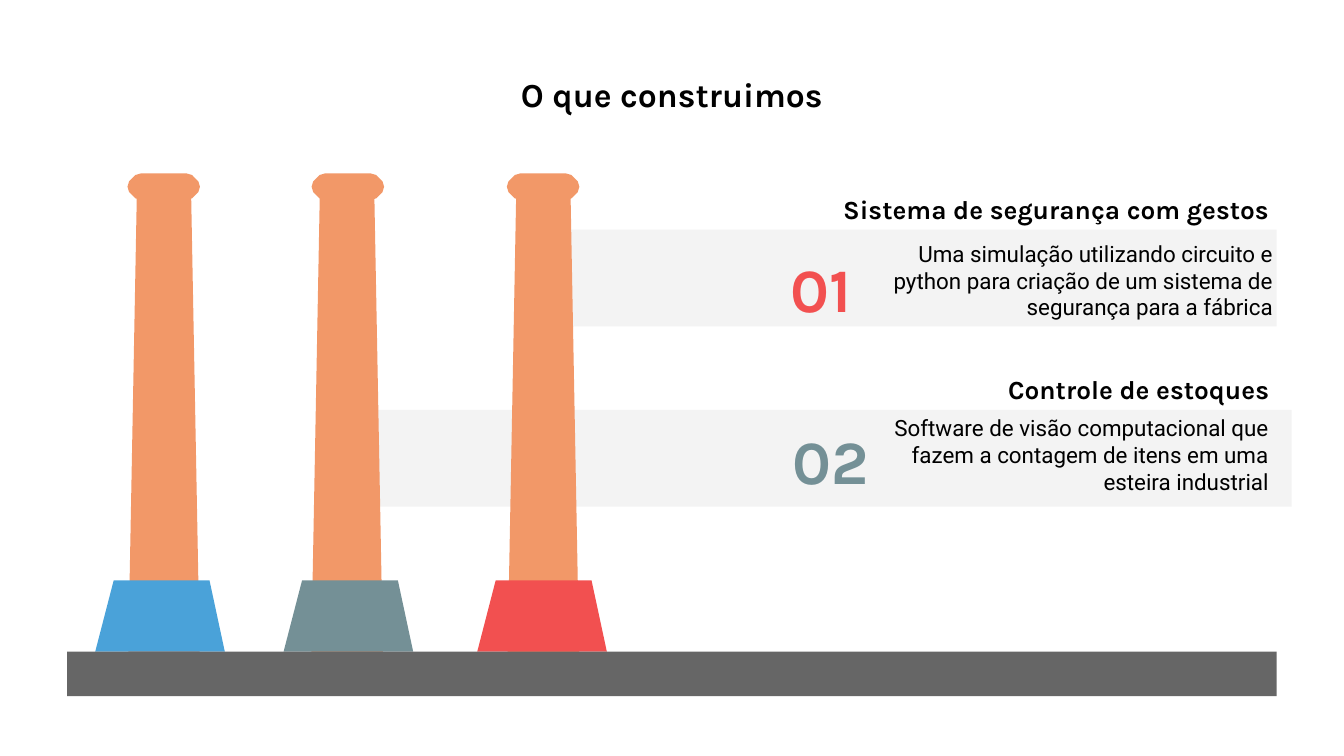
from pptx import Presentation
from pptx.dml.color import RGBColor
from pptx.enum.shapes import MSO_SHAPE
from pptx.enum.text import MSO_ANCHOR, PP_ALIGN
from pptx.util import Cm, Pt

BLACK = RGBColor(0x00, 0x00, 0x00)
LIGHT = RGBColor(0xF3, 0xF3, 0xF3)
GROUND = RGBColor(0x66, 0x66, 0x66)
BRICK = RGBColor(0xF2, 0x98, 0x68)
BLUE = RGBColor(0x4A, 0xA2, 0xD9)
SLATE = RGBColor(0x74, 0x90, 0x96)
RED = RGBColor(0xF2, 0x50, 0x50)

# All lengths are in centimetres; boxes are (left, top, width, height).
TITLE = "O que construimos"
TITLE_BOX = (1.27, 1.14, 22.86, 1.35)
GROUND_BOX = (1.27, 12.32, 22.86, 0.84)

ITEMS = [
    {"number": "02", "color": SLATE, "bar": (6.91, 7.75, 17.5, 1.83),
     "heading": "Controle de estoques",
     "heading_box": (18.42, 6.96, 5.82, 0.79),
     "body": "Software de visão computacional que fazem a contagem "
             "de itens em uma esteira industrial",
     "body_box": (16.48, 7.87, 7.75, 1.45),
     "number_box": (14.66, 7.9, 2.08, 1.6)},
    {"number": "01", "color": RED, "bar": (10.24, 4.34, 13.89, 1.83),
     "heading": "Sistema de segurança com gestos",
     "heading_box": (14.94, 3.56, 9.3, 0.79),
     "body": "Uma simulação utilizando circuito e python para criação "
             "de um sistema de segurança para a fábrica",
     "body_box": (16.56, 4.57, 7.75, 1.45),
     "number_box": (14.48, 4.65, 2.08, 1.6)},
]

# cap left, column (left, top), base left, base colour
CHIMNEYS = [
    (2.41, (2.41, 3.51), 1.80, BLUE),
    (5.89, (5.87, 3.40), 5.36, SLATE),
    (9.58, (9.58, 3.48), 9.02, RED),
]
CAP_TOP, BASE_TOP = 3.28, 10.97
CAP_W, CAP_H = 1.37, 0.5
COLUMN = [(0.18, 0), (0, 9.64), (1.38, 9.64), (1.2, 0)]
BASE = [(0.35, 0), (0, 1.35), (2.45, 1.35), (2.16, 0)]
CAP_CORNER = [(0.25, 0), (0.15, 0.03), (0.1, 0.08), (0.03, 0.15), (0, 0.25)]

# The rounded cap mirrors its top-left corner down, then across.
cap_left = CAP_CORNER + [(x, CAP_H - y) for x, y in CAP_CORNER[-2::-1]]
CAP = cap_left + [(CAP_W - x, y) for x, y in reversed(cap_left)]


def paint(sp, color):
    sp.fill.solid()
    sp.fill.fore_color.rgb = color
    sp.line.fill.background()
    sp.shadow.inherit = False


def add_rect(s, box, color):
    paint(s.shapes.add_shape(MSO_SHAPE.RECTANGLE, *map(Cm, box)), color)


def add_polygon(s, left, top, outline, color):
    """Draw an outline given relative to (left, top)."""
    points = [(Cm(left + x), Cm(top + y)) for x, y in outline]
    builder = s.shapes.build_freeform(*points[0])
    builder.add_line_segments(points[1:], close=True)
    paint(builder.convert_to_shape(), color)


def add_text(s, box, text, size, align, font="Karla", bold=True,
             color=BLACK, anchor=MSO_ANCHOR.MIDDLE):
    tf = s.shapes.add_textbox(*map(Cm, box)).text_frame
    tf.word_wrap = True
    tf.vertical_anchor = anchor
    tf.margin_left = tf.margin_right = Cm(0.25)
    tf.margin_top = tf.margin_bottom = Cm(0.25)
    p = tf.paragraphs[0]
    p.text = text
    p.alignment = align
    p.font.name = font
    p.font.size = Pt(size)
    p.font.bold = bold
    p.font.color.rgb = color


prs = Presentation()
prs.slide_width, prs.slide_height = Cm(25.4), Cm(14.29)
s = prs.slides.add_slide(prs.slide_layouts[6])

for item in ITEMS:
    add_rect(s, item["bar"], LIGHT)
add_text(s, TITLE_BOX, TITLE, 18, PP_ALIGN.CENTER, anchor=MSO_ANCHOR.TOP)

for cap_x, column_at, base_x, color in CHIMNEYS:
    add_polygon(s, *column_at, COLUMN, BRICK)
    add_polygon(s, cap_x, CAP_TOP, CAP, BRICK)
    add_polygon(s, base_x, BASE_TOP, BASE, color)
add_rect(s, GROUND_BOX, GROUND)

for item in ITEMS:
    add_text(s, item["heading_box"], item["heading"], 14, PP_ALIGN.RIGHT)
    add_text(s, item["body_box"], item["body"], 12, PP_ALIGN.RIGHT,
             font="Roboto", bold=False)
    add_text(s, item["number_box"], item["number"], 33, PP_ALIGN.CENTER,
             color=item["color"])

prs.save("out.pptx")
